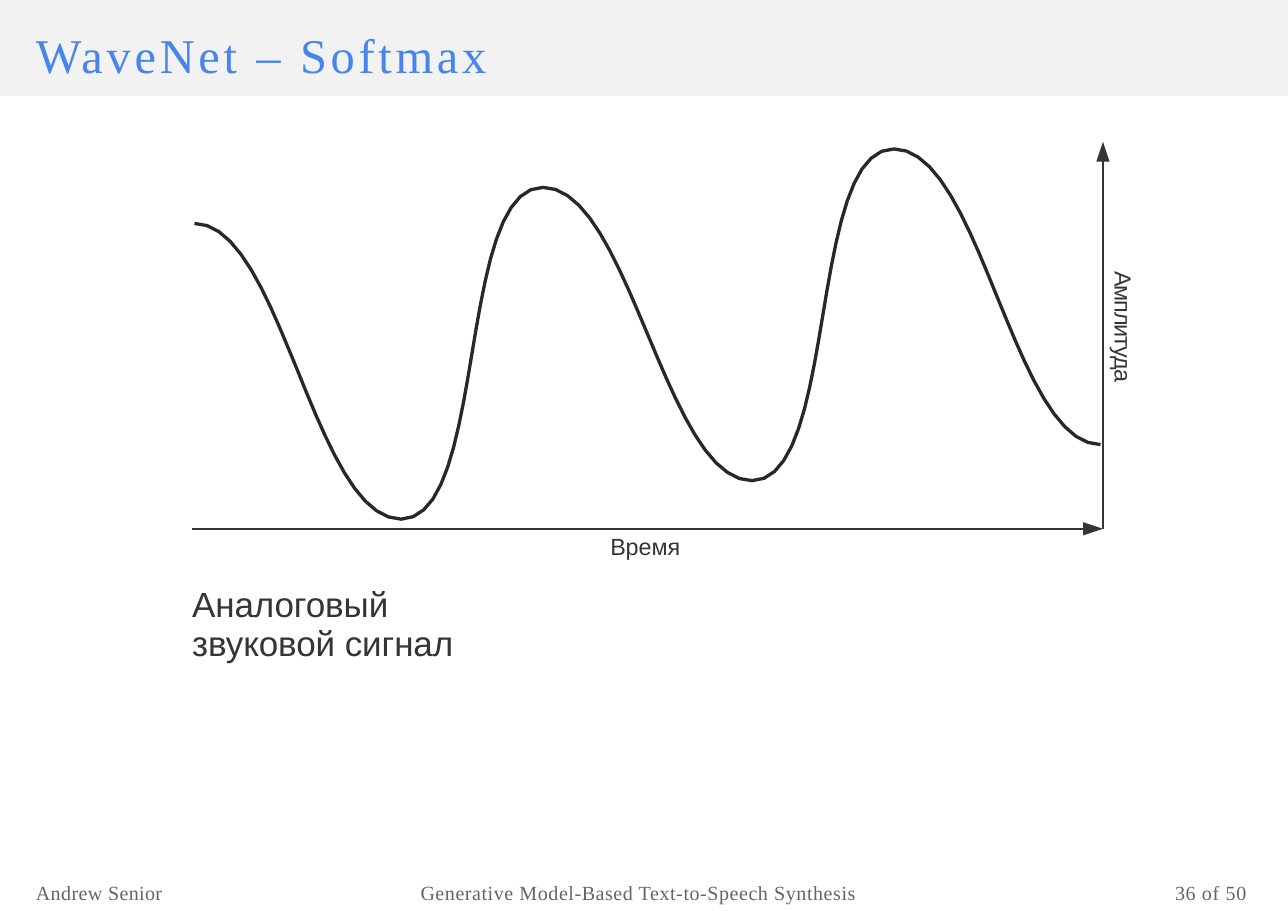
"""Builds a slide with an analog sound wave on time and amplitude axes."""
import lxml.etree
import pptx
import pptx.chart.data
import pptx.dml.color
import pptx.enum.shapes
import pptx.oxml
import pptx.oxml.ns
import pptx.util

COLORS = {"band": "F2F2F2", "title": "4785EC", "wave": "282828",
          "axis": "363435", "foot": "656565"}
COLS, ROWS = 536, 379
CELL = pptx.util.Inches(0.01)
SERIF, SANS = "Times New Roman", "Arial"


def paint(target, name):
    target.solid()
    target.fore_color.rgb = pptx.dml.color.RGBColor.from_string(COLORS[name])


def sub(parent, tag, **attrs):
    return lxml.etree.SubElement(parent, pptx.oxml.ns.qn(tag), attrs)


deck = pptx.Presentation()
deck.slide_width, deck.slide_height = COLS * CELL, ROWS * CELL
shapes = deck.slides.add_slide(deck.slide_layouts[6]).shapes

band = shapes.add_shape(pptx.enum.shapes.MSO_SHAPE.RECTANGLE,
                        0, 0, COLS * CELL, 40 * CELL)
band.shadow.inherit = False
paint(band.fill, "band")
band.line.fill.background()

turns = [(81, 93), (167, 216), (226, 78), (313, 200), (372, 62), (458, 185)]
reach, steps = 36, 20
points = [turns[0]]
for (left, start), (right, end) in zip(turns, turns[1:]):
    for step in range(1, steps + 1):
        t = step / steps
        near, far = 3 * t * (1 - t) ** 2, 3 * t ** 2 * (1 - t)
        ease = far + t ** 3
        points.append((left + (right - left) * ease + reach * (near - far),
                       start + (end - start) * ease))
pen = shapes.build_freeform(*points[0], scale=CELL)
pen = shapes.build_freeform(int(points[0][0] * CELL), int(points[0][1] * CELL))
pen.add_line_segments([(int(x * CELL), int(y * CELL)) for x, y in points[1:]],
                      close=False)
wave = pen.convert_to_shape()
wave.shadow.inherit = False
wave.fill.background()
paint(wave.line.fill, "wave")
wave.line.width = pptx.util.Pt(1)

for ends in [(80, 220, 459, 220), (459, 220, 459, 59)]:
    axis = shapes.add_connector(pptx.enum.shapes.MSO_CONNECTOR.STRAIGHT,
                                *[end * CELL for end in ends])
    paint(axis.line.fill, "axis")
    axis.line.width = pptx.util.Pt(0.5)
    sub(axis.line._get_or_add_ln(), "a:tailEnd", type="triangle", w="sm", len="med")
    sub(axis._element.spPr, "a:effectLst")

labels = [
    ("WaveNet – Softmax", 15, 13, 200, 23, 14.5, 14.9, SERIF, "title", 1.1, 0),
    ("Время", 254, 221, 57, 17, 7, 8, SANS, "axis", 0, 0),
    ("Амплитуда", 444, 132, 49, 11, 7, 8, SANS, "axis", -0.3, 90),
    ("Аналоговый звуковой сигнал", 80, 243, 131, 34, 10.5, 11.5, SANS, "axis", 0, 0),
    ("Andrew Senior", 15, 367, 60, 11, 6, 6.8, SERIF, "foot", 0.1, 0),
    ("Generative Model-Based Text-to-Speech Synthesis",
     175, 367, 195, 11, 6, 6.8, SERIF, "foot", 0.17, 0),
    ("36 of 50", 489, 367, 40, 11, 6, 6.8, SERIF, "foot", 0.2, 0),
]
for words, col, row, wide, high, size, pitch, face, color, gap, turn in labels:
    box = shapes.add_textbox(col * CELL, row * CELL, wide * CELL, high * CELL)
    box.rotation = turn
    frame = box.text_frame
    frame.word_wrap = True
    frame.margin_left = frame.margin_right = frame.margin_bottom = 0
    frame.margin_top = CELL if size > 6 else 0
    line = frame.paragraphs[0]
    line.text = words
    line.line_spacing = pptx.util.Pt(pitch)
    line.font.size = pptx.util.Pt(size)
    line.font.name = face
    paint(line.font.fill, color)
    line.runs[0].font._element.set("spc", str(round(gap * 100)))

deck.save("out.pptx")
